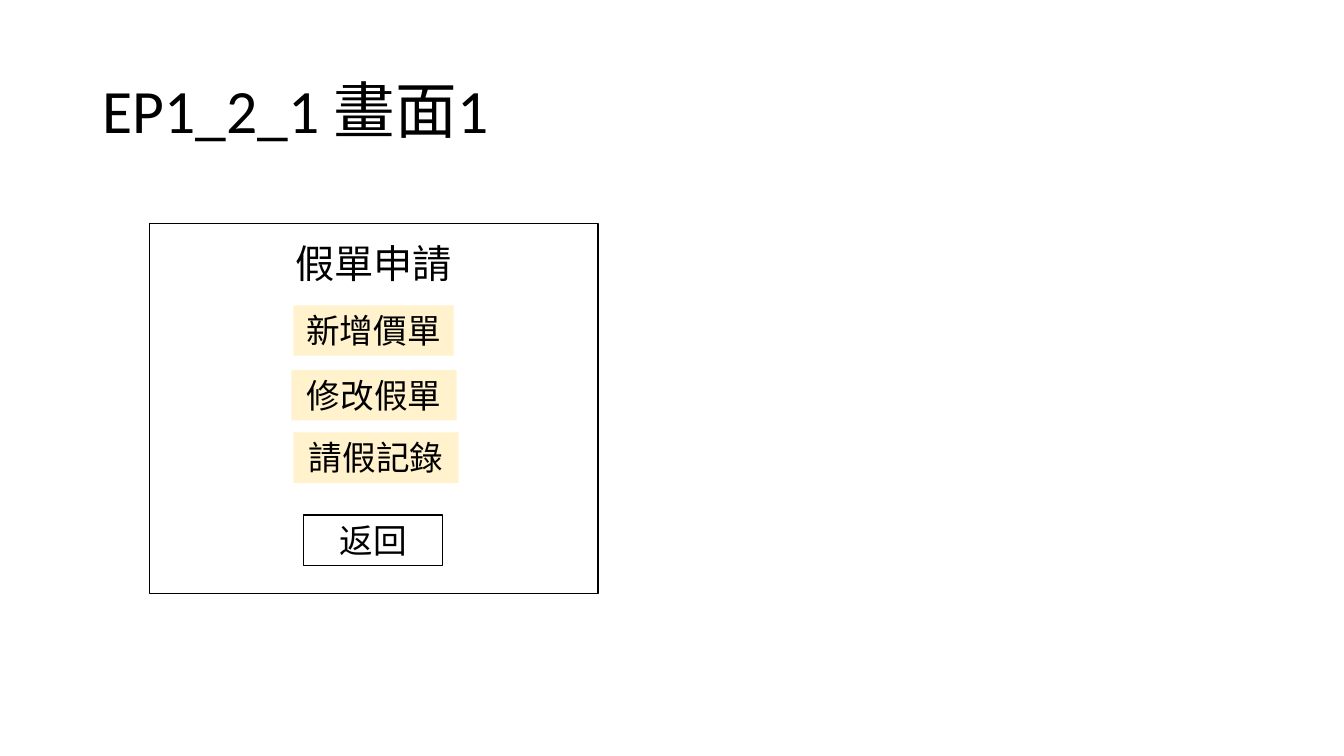
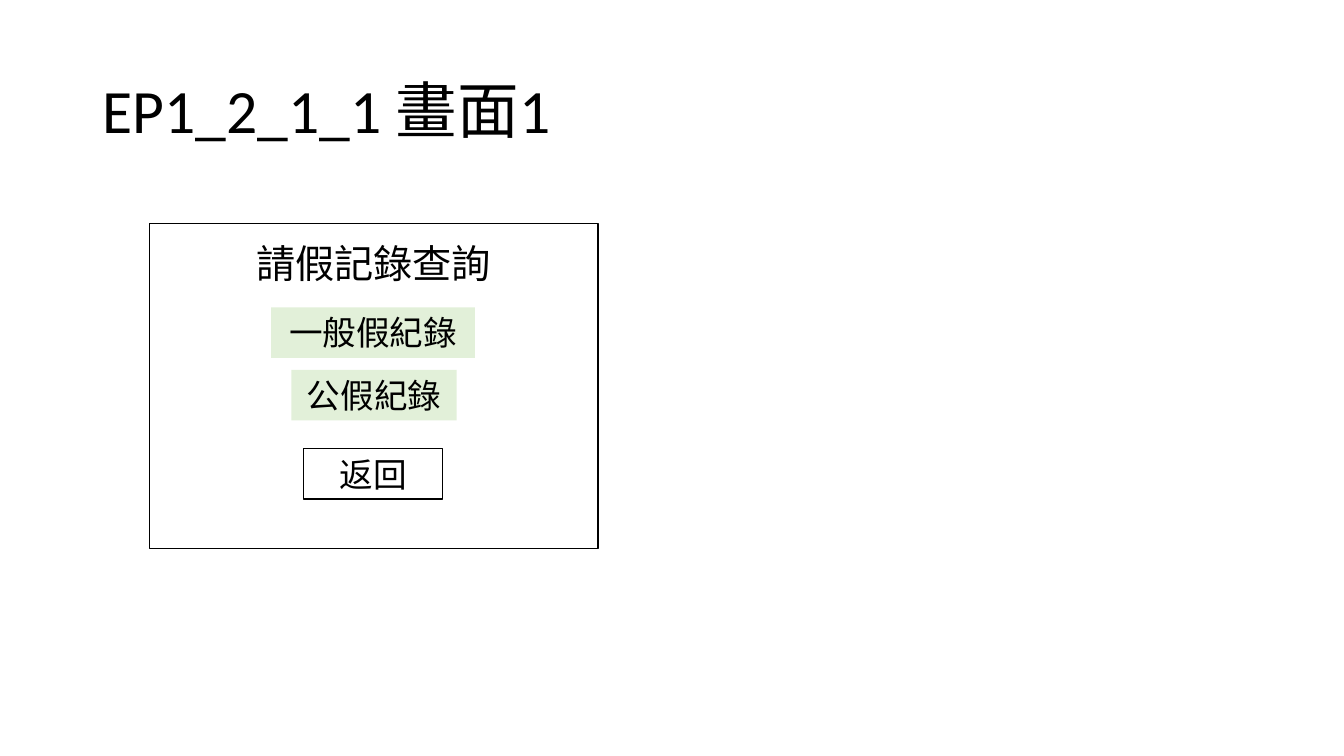
import pptx
import pptx.util
import pptx.dml.color
import pptx.enum.shapes
import pptx.enum.text

PX = 9144  # EMU per px, 100 px to the inch
FONT = "Calibri"
COLORS = {"ink": "000000", "paper": "FFFFFF", "yellow": "FFF2CC", "green": "E2F0D9"}
PANEL_X, PANEL_Y, PANEL_W = 148, 222, 445
BUTTON_H = 50

ALIGN = pptx.enum.text.PP_ALIGN
ANCHOR = pptx.enum.text.MSO_ANCHOR


def rgb(name):
    return pptx.dml.color.RGBColor.from_string(COLORS[name])


def add_box(s, text, x, y, w, h, size=24, fill=None, line=None,
            align=ALIGN.CENTER, anchor=ANCHOR.TOP, spacing=None):
    """Add a text box, or a rectangle when a fill or line colour is given."""
    box = [v * PX for v in (x, y, w, h)]
    if fill or line:
        sp = s.shapes.add_shape(pptx.enum.shapes.MSO_SHAPE.RECTANGLE, *box)
        sp.shadow.inherit = False
    else:
        sp = s.shapes.add_textbox(*box)
    if fill:
        sp.fill.solid()
        sp.fill.fore_color.rgb = rgb(fill)
    else:
        sp.fill.background()
    if line:
        sp.line.color.rgb = rgb(line)
        sp.line.width = pptx.util.Pt(1)
    else:
        sp.line.fill.background()
    if text:
        tf = sp.text_frame
        tf.word_wrap = True
        tf.vertical_anchor = anchor
        p = tf.paragraphs[0]
        p.alignment = align
        p.line_spacing = spacing
        r = p.add_run()
        r.text = text
        r.font.name = FONT
        r.font.size = pptx.util.Pt(size)
        r.font.color.rgb = rgb("ink")


screens = [
    {"title": "EP1_2_1 畫面1", "heading": "假單申請", "panel_h": 367,
     "fill": "yellow", "back_y": 511,
     "buttons": [("新增價單", 291, 303, 159),
                 ("修改假單", 289, 367, 164),
                 ("請假記錄", 291, 429, 164)]},
    {"title": "EP1_2_1_1 畫面1", "heading": "請假記錄查詢", "panel_h": 322,
     "fill": "green", "back_y": 445,
     "buttons": [("一般假紀錄", 269, 305, 202),
                 ("公假紀錄", 289, 367, 164)]},
]

prs = pptx.Presentation()
prs.slide_width = 1333 * PX
prs.slide_height = 750 * PX

for screen in screens:
    s = prs.slides.add_slide(prs.slide_layouts[6])
    add_box(s, screen["title"], 92, 40, 1150, 145, size=44,
            align=ALIGN.LEFT, anchor=ANCHOR.MIDDLE, spacing=0.9)
    add_box(s, "", PANEL_X, PANEL_Y, PANEL_W, screen["panel_h"], line="ink")
    add_box(s, screen["heading"], PANEL_X, PANEL_Y + 11, PANEL_W, 50, size=28)
    for label, x, y, w in screen["buttons"]:
        add_box(s, label, x, y, w, BUTTON_H, fill=screen["fill"])
    add_box(s, "返回", 301, screen["back_y"], 138, BUTTON_H,
            fill="paper", line="ink", anchor=ANCHOR.MIDDLE)

prs.save("out.pptx")
